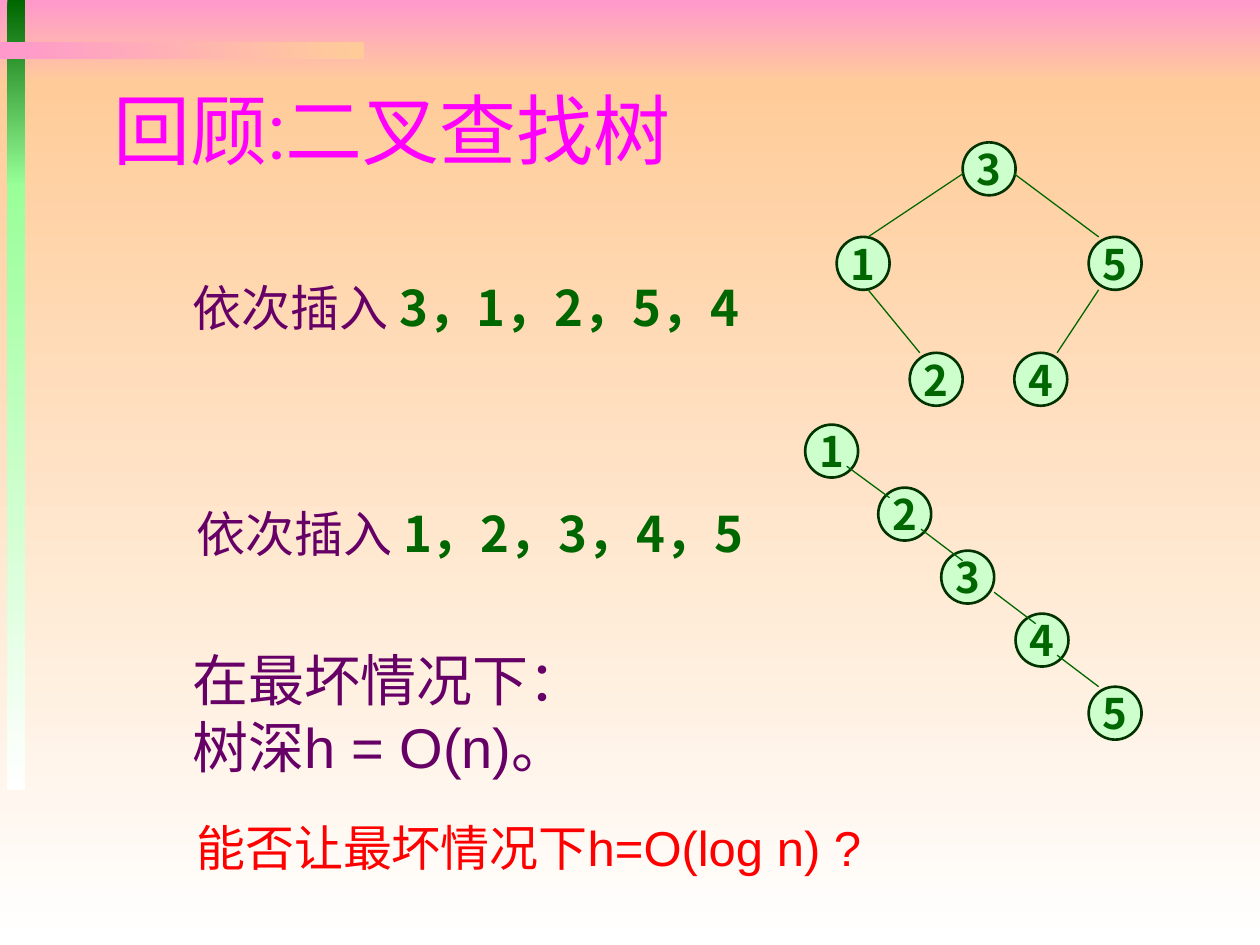
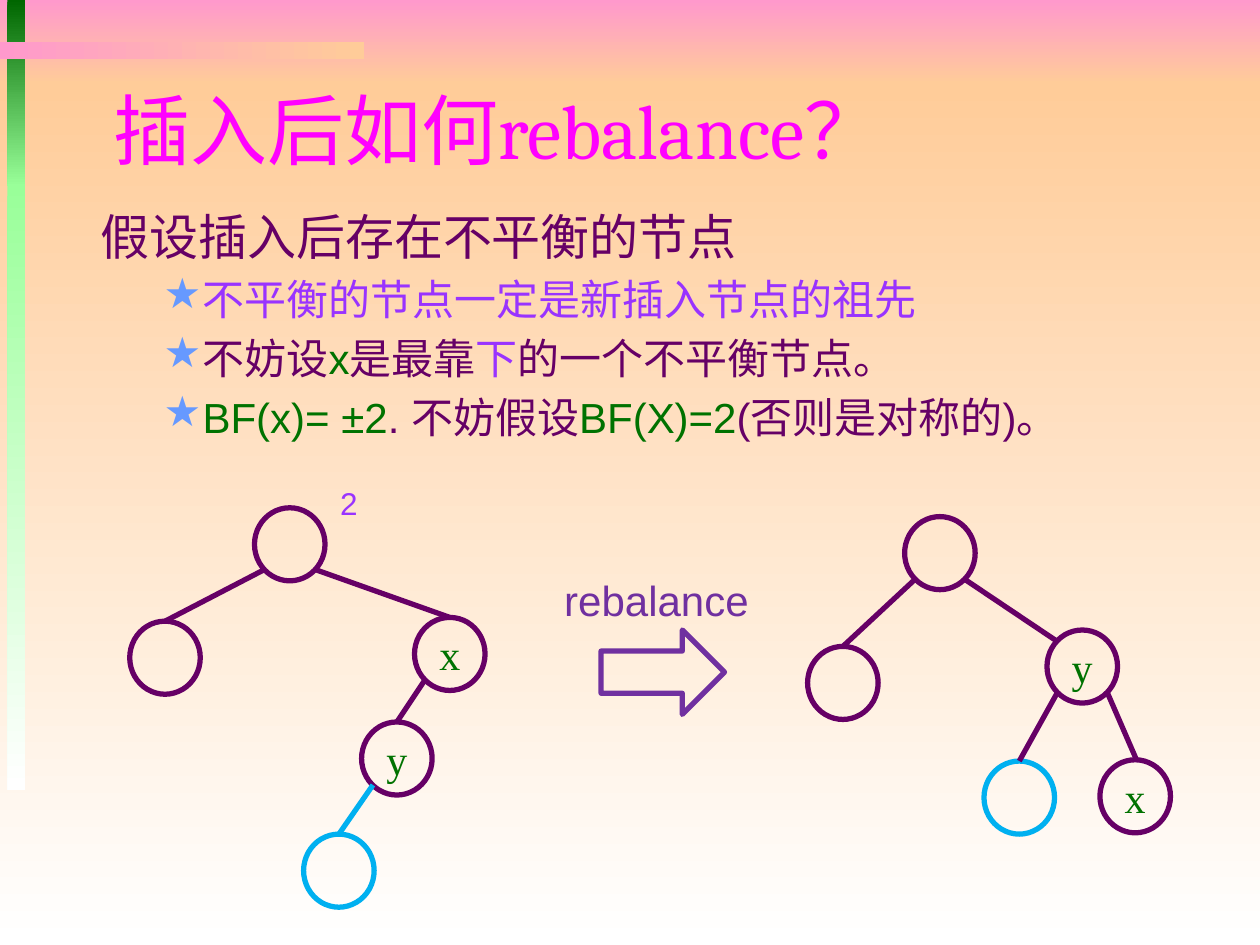
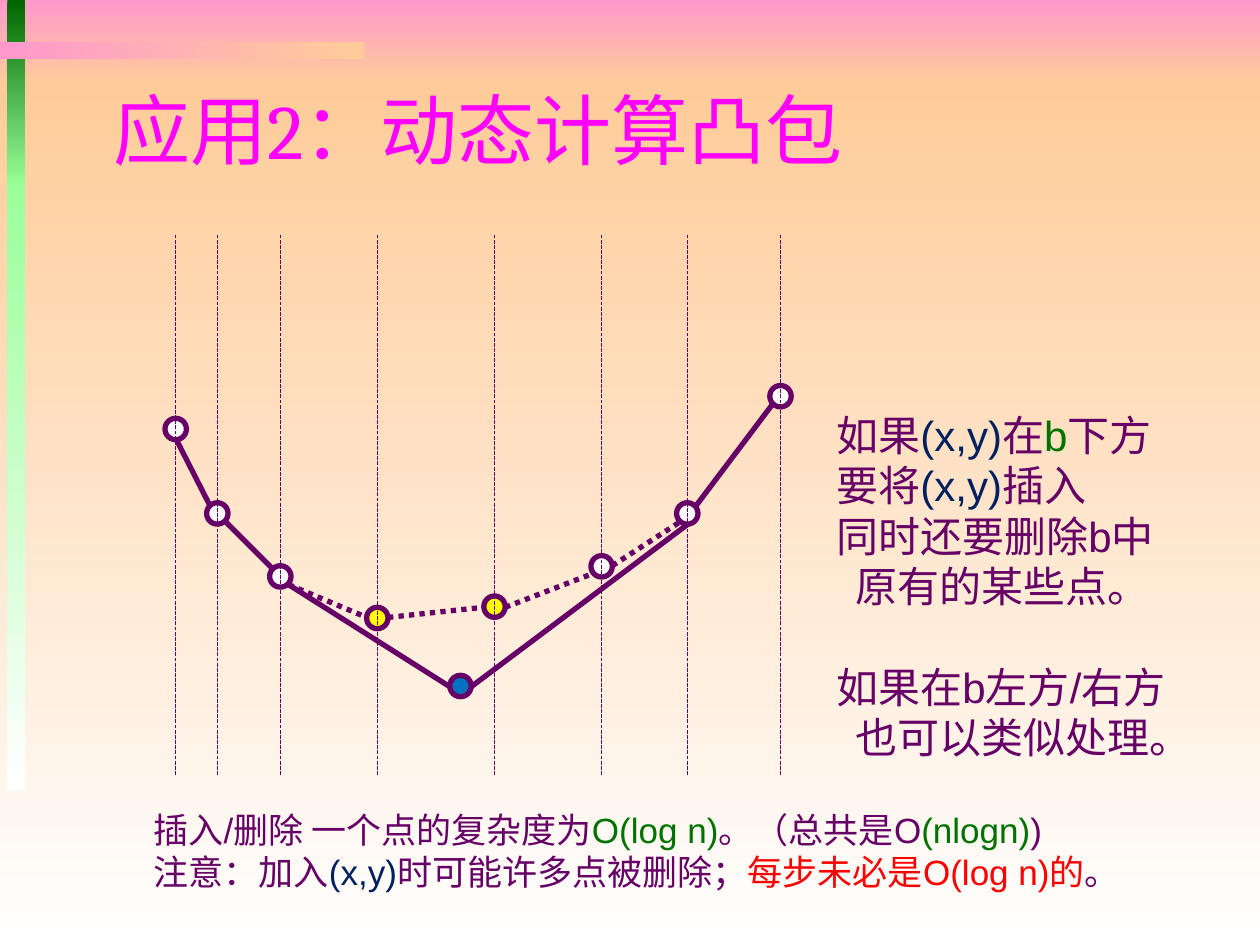
from dataclasses import dataclass
from typing import Any, NamedTuple, Optional

from lxml.etree import SubElement
from pptx import Presentation
from pptx.dml.color import RGBColor
from pptx.enum.dml import MSO_LINE_DASH_STYLE as Dash
from pptx.enum.shapes import MSO_CONNECTOR as Conn, MSO_SHAPE as Shape
from pptx.enum.text import MSO_ANCHOR as Anchor, PP_ALIGN as Align
from pptx.oxml.ns import qn
from pptx.util import Emu, Inches, Pt

SLIDE_W, SLIDE_H = Inches(10), Inches(7.5)
COLS, ROWS = 100, 75
CJK = "Noto Sans CJK SC"
C = {
    "pink": "FF99CC", "peach": "FFCC99", "white": "FFFFFF",
    "forest": "006600", "lime": "99FF99", "mint": "CCFFCC", "pine": "003300",
    "magenta": "FF00FF", "plum": "660066", "violet": "9933FF", "purple": "7030A0",
    "green": "007200", "navy": "002060", "red": "FF0000", "yellow": "FFFF00",
    "blue": "0070C0", "sky": "00B0F0", "star": "6699FF",
}


def col(n: float) -> Emu:
    return Emu(round(SLIDE_W * n / COLS))


def row(n: float) -> Emu:
    return Emu(round(SLIDE_H * n / ROWS))


class Box(NamedTuple):
    """Left, top, width and height in grid columns and rows."""
    x: float
    y: float
    w: float
    h: float

    def emu(self) -> tuple:
        return col(self.x), row(self.y), col(self.w), row(self.h)


class Band(NamedTuple):
    box: Box
    start: str
    end: str
    angle: int = 270


class Edge(NamedTuple):
    x1: float
    y1: float
    x2: float
    y2: float
    color: str = "plum"


class Node(NamedTuple):
    x: float
    y: float
    label: str = ""
    color: str = "plum"


class Run(NamedTuple):
    text: str
    color: str = "plum"
    bold: bool = False


@dataclass
class Para:
    runs: list[Run]
    size: float
    before: float = 0
    spacing: Optional[float] = None
    indent: float = 0
    bullet: bool = False


@dataclass
class NodeStyle:
    w: float
    h: float
    line_width: float
    font: str = CJK
    text_color: str = "forest"
    bold: bool = False
    fill: Optional[str] = None
    line: Optional[str] = None


BANDS = [
    Band(Box(0, 0, 100, 6.7), "pink", "peach"),
    Band(Box(0, 6.7, 100, 68.3), "peach", "white"),
    Band(Box(0.6, 0, 1.4, 14.8), "forest", "lime"),
    Band(Box(0.6, 14.6, 1.4, 48.1), "lime", "white"),
    Band(Box(0, 3.3, 28.9, 1.4), "pink", "peach", 0),
]
TITLE_BOX = Box(8, 5.7, 85, 9)
KEY_NODE = NodeStyle(4.2, 4.2, 1.5, bold=True, fill="mint", line="pine")
RING = NodeStyle(5.6, 5.8, 3, "Times New Roman", "green")
DOT = NodeStyle(1.7, 1.7, 3)


def rgb(name: str) -> RGBColor:
    return RGBColor.from_string(C[name])


def set_all(target: Any, values: dict[str, Any]) -> None:
    for key, value in values.items():
        setattr(target, key, value)


def add_run(p: Any, run: Run, font: str, size: float) -> None:
    r = p.add_run()
    r.text = run.text
    r.font.color.rgb = rgb(run.color)
    set_all(r.font, {"name": font, "size": Pt(size), "bold": run.bold})
    SubElement(r.font._element, qn("a:ea"), typeface=CJK)


def set_indent(p: Any, para: Para) -> None:
    pPr = p._p.get_or_add_pPr()
    pPr.set("marL", str(col(para.indent)))
    if para.bullet:
        pPr.set("indent", str(-col(3.1)))
        SubElement(SubElement(pPr, qn("a:buClr")), qn("a:srgbClr"), val=C["star"])
        SubElement(pPr, qn("a:buChar"), char="★")


def add_text(s: Any, box: Box, paras: list[Para], font: str = "Arial",
             anchor: Any = Anchor.TOP) -> None:
    tf = s.shapes.add_textbox(*box.emu()).text_frame
    set_all(tf, {"word_wrap": True, "vertical_anchor": anchor})
    for i, para in enumerate(paras):
        p = tf.add_paragraph() if i else tf.paragraphs[0]
        if para.indent:
            set_indent(p, para)
        if para.before:
            p.space_before = Pt(para.before)
        if para.spacing:
            p.line_spacing = para.spacing
        for run in para.runs:
            add_run(p, run, font, para.size)


def add_shape(s: Any, kind: Any, box: Box, line: Optional[str] = None,
              width: float = 0, fill: Optional[str] = None) -> Any:
    sp = s.shapes.add_shape(kind, *box.emu())
    sp.shadow.inherit = False
    if fill:
        sp.fill.solid()
        sp.fill.fore_color.rgb = rgb(fill)
    else:
        sp.fill.background()
    if line:
        sp.line.color.rgb = rgb(line)
        sp.line.width = Pt(width)
    else:
        sp.line.fill.background()
    return sp


def add_node(s: Any, node: Node, style: NodeStyle, fill: Optional[str] = None) -> None:
    box = Box(node.x, node.y, style.w, style.h)
    sp = add_shape(s, Shape.OVAL, box, style.line or node.color, style.line_width,
                   fill or style.fill)
    if node.label:
        tf = sp.text_frame
        set_all(tf, {"word_wrap": False, "vertical_anchor": Anchor.MIDDLE,
                     "margin_left": 0, "margin_right": 0,
                     "margin_top": 0, "margin_bottom": 0})
        p = tf.paragraphs[0]
        p.alignment = Align.CENTER
        add_run(p, Run(node.label, style.text_color, style.bold), style.font, 24)


def add_edge(s: Any, edge: Edge, width: float, dash: Any = None) -> None:
    cx = s.shapes.add_connector(Conn.STRAIGHT, col(edge.x1), row(edge.y1),
                                col(edge.x2), row(edge.y2))
    SubElement(cx._element.spPr, qn("a:effectLst"))
    cx.line.color.rgb = rgb(edge.color)
    set_all(cx.line, {"width": Pt(width), "dash_style": dash})


def add_tree(s: Any, nodes: list[Node], edges: list[Edge], style: NodeStyle,
             width: float) -> None:
    for node in nodes:
        add_node(s, node, style)
    for edge in edges:
        add_edge(s, edge, width)


def new_slide(prs: Any, title: str, font: str = "Cambria") -> Any:
    """Blank slide with the gradient bands and the title."""
    s = prs.slides.add_slide(prs.slide_layouts[6])
    for band in BANDS:
        fill = add_shape(s, Shape.RECTANGLE, band.box).fill
        fill.gradient()
        fill.gradient_angle = band.angle
        for stop, name in zip(fill.gradient_stops, (band.start, band.end)):
            stop.color.rgb = rgb(name)
    add_text(s, TITLE_BOX, [Para([Run(title, "magenta")], 44)], font, Anchor.MIDDLE)
    return s


def search_tree_slide(prs: Any) -> None:
    s = new_slide(prs, "回顾:二叉查找树", "Roboto Condensed")
    # Insertion orders
    for box, keys in ((Box(14.3, 20.8, 49.7, 5.7), "3，1，2，5，4"),
                      (Box(14.6, 38.8, 48.2, 5.7), "1，2，3，4，5")):
        runs = [Run("依次插入 "), Run(keys, "forest", True)]
        add_text(s, box, [Para(runs, 28, spacing=1.15)], CJK)
    # Degenerate chain
    chain = [(63.9, 33.7), (69.7, 38.7), (74.7, 43.7), (80.6, 48.7), (86.4, 54.5)]
    links = [(67.2, 37, 70.6, 39.5), (73.1, 42, 76.4, 44.5),
             (78.9, 47, 82.2, 49.5), (83.9, 52, 87.2, 54.5)]
    # Balanced tree
    balanced = [(76.4, 11.3, "3"), (86.4, 18.8, "5"), (80.5, 28, "4"),
                (66.4, 18.8, "1"), (72.2, 28, "2")]
    branches = [(76.4, 13.8, 68.9, 18.8), (80.5, 13.8, 87.2, 18.8),
                (68.9, 23, 73, 28), (87.2, 23, 83.9, 28)]
    numbered = [(x, y, str(i)) for i, (x, y) in enumerate(chain, 1)]
    for nodes, edges in ((numbered, links), (balanced, branches)):
        add_tree(s, [Node(*n) for n in nodes],
                 [Edge(*e, "forest") for e in edges], KEY_NODE, 0.75)
    # Worst case and question
    add_text(s, Box(14.3, 50.7, 69.6, 11.8),
             [Para([Run(t)], 32) for t in ("在最坏情况下：", "树深h = O(n)。")])
    add_text(s, Box(14.6, 64.4, 69.6, 5.7),
             [Para([Run("能否让最坏情况下h=O(log n) ?", "red")], 28)])


def rebalance_slide(prs: Any) -> None:
    s = new_slide(prs, "插入后如何rebalance？")
    points = [
        [Run("不平衡的节点一定是新插入节点的祖先", "violet")],
        [Run("不妨设"), Run("x", "green"), Run("是最靠"), Run("下", "violet"),
         Run("的一个不平衡节点。")],
        [Run("BF(x)= ±2", "green"), Run(". 不妨假设"), Run("BF(X)=2", "green"),
         Run("(否则是对称的)。")],
    ]
    add_text(s, Box(7, 15.9, 93, 22),
             [Para([Run("假设插入后存在不平衡的节点")], 28)]
             + [Para(runs, 24, before=4.8, indent=8.1, bullet=True) for runs in points])
    # Tree before
    add_tree(s, [Node(20.2, 40.3), Node(28.7, 57.3, "y"), Node(10.3, 49.3),
                 Node(32.9, 49, "x"), Node(24.1, 66.2, color="sky")],
             [Edge(21, 45.2, 13.1, 49.3), Edge(25, 45.2, 35.7, 49),
              Edge(33.7, 54, 31.5, 57.3), Edge(29.6, 62.3, 26.9, 66.2, "sky")],
             RING, 3)
    # Balance factor, arrow and its caption
    add_text(s, Box(26, 37.9, 4.5, 4), [Para([Run("2", "violet")], 18)])
    add_text(s, Box(43.8, 45.1, 20.6, 5), [Para([Run("rebalance", "purple")], 24)])
    add_shape(s, Shape.RIGHT_ARROW, Box(47.7, 50, 9.8, 6.7), "purple", 3)
    # Tree after
    add_tree(s, [Node(71.8, 41), Node(83.1, 50, "y"), Node(64.1, 51.3),
                 Node(87.3, 60.3, "x"), Node(78.1, 60.4, color="sky")],
             [Edge(76.6, 46, 83.9, 50.9), Edge(72.6, 46, 66.9, 51.3),
              Edge(87.9, 55, 90.2, 60.3), Edge(83.9, 55, 80.9, 60.4)],
             RING, 3)


def convex_hull_slide(prs: Any) -> None:
    s = new_slide(prs, "应用2：动态计算凸包")
    # Hull points, left to right; yellow ones get removed
    points = [(13.1, 33.2), (16.4, 39.9), (21.4, 44.9), (29.1, 48.2),
              (38.4, 47.3), (46.9, 44.1), (53.7, 39.9), (61.1, 30.6)]
    for i, (x, y) in enumerate(points):
        add_node(s, Node(x, y), DOT, "yellow" if i in (3, 4) else "white")
    # Kept edges, then edges being replaced
    kept = [(14, 34.9, 16.7, 40.2), (17.9, 41.4, 21.7, 45.2), (55.2, 40.2, 61.3, 32.1)]
    replaced = [(22.9, 46.4, 29.1, 49), (30.8, 49, 38.4, 48.2),
                (40.1, 48.2, 47.1, 45.5), (48.6, 44.9, 54, 41.4)]
    for edges, dash in ((kept, None), (replaced, Dash.ROUND_DOT)):
        for edge in edges:
            add_edge(s, Edge(*edge), 3, dash)
    # Vertical guides through the points
    for x, _ in points:
        guide = x + DOT.w / 2
        add_edge(s, Edge(guide, 61.5, guide, 18.6), 0.75, Dash.SQUARE_DOT)
    # New point and its tangents
    add_node(s, Node(35.7, 53.6), DOT, "blue")
    for edge in ((22.9, 46.4, 35.7, 54.5), (37.4, 54.5, 54.6, 41.6)):
        add_edge(s, Edge(*edge), 3)
    # Explanation
    xy = Run("(x,y)", "navy")
    add_text(s, Box(65.4, 32, 30.8, 29.3), [
        Para([Run("如果"), xy, Run("在"), Run("b", "green"), Run("下方")], 24),
        Para([Run("要将"), xy, Run("插入")], 24),
        Para([Run("同时还要删除b中")], 24),
        Para([Run("原有的某些点。")], 24, indent=1.5),
        Para([Run("如果在b左方/右方")], 24, before=28.8),
        Para([Run("也可以类似处理。")], 24, indent=1.5),
    ])
    add_text(s, Box(11.2, 63.7, 81.8, 7.7), [
        Para([Run("插入/删除 一个点的复杂度为"), Run("O(log n)", "green"),
              Run("。（总共是O"), Run("(nlogn)", "green"), Run(")")], 20),
        Para([Run("注意：加入"), xy, Run("时可能许多点被删除；"),
              Run("每步未必是O(log n)的", "red"), Run("。")], 20),
    ])


def main() -> None:
    prs = Presentation()
    set_all(prs, {"slide_width": SLIDE_W, "slide_height": SLIDE_H})
    for build in (search_tree_slide, rebalance_slide, convex_hull_slide):
        build(prs)
    prs.save("out.pptx")


if __name__ == "__main__":
    main()
